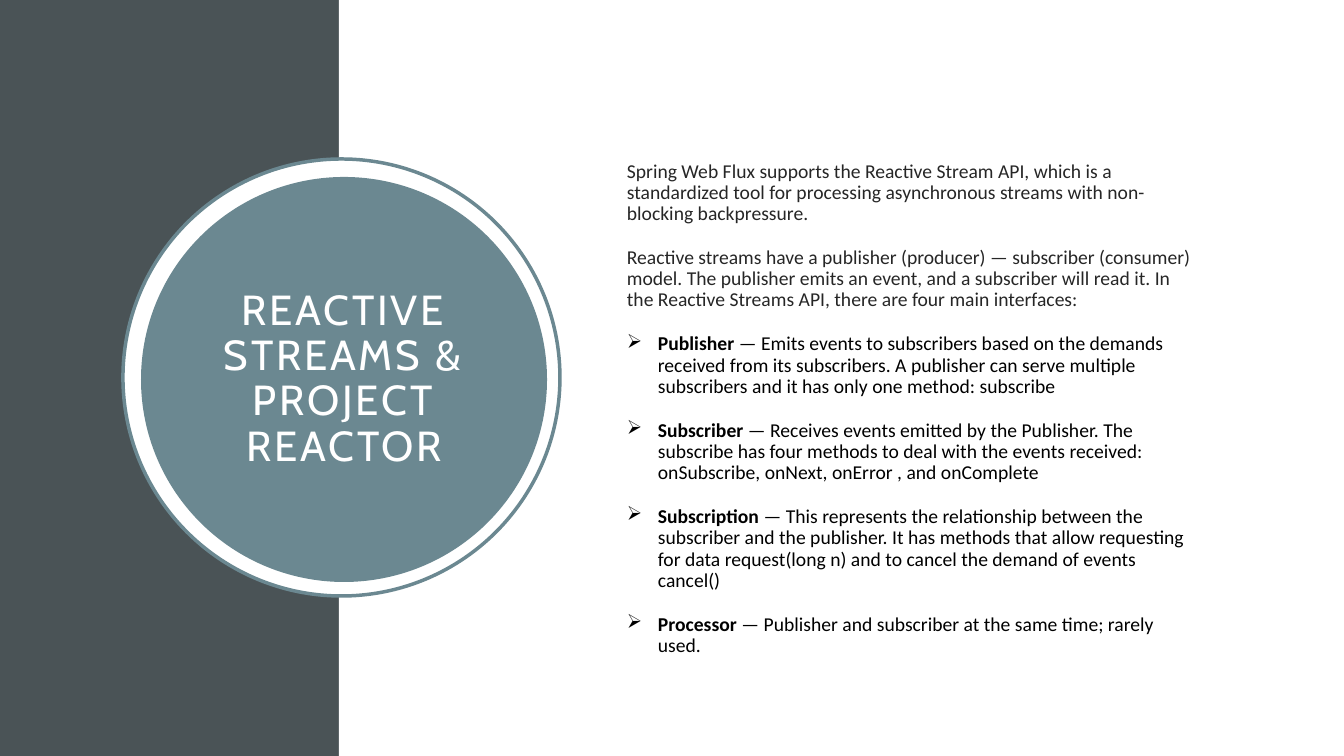
from lxml import etree
from pptx import Presentation, util as u
from pptx.dml.color import RGBColor
from pptx.enum import shapes, text
from pptx.oxml import ns

EMU_PER_PX = 12192000 / 1344
SLIDE_WIDTH, SLIDE_HEIGHT = 1344, 756
BAND_WIDTH = 339
BULLET_INDENT = 31

COLOURS = {
    "band": "4A5356",
    "paper": "FFFFFF",
    "accent": "6B8891",
    "intro": "262626",
    "term": "000000",
}

TITLE = "REACTIVE STREAMS & PROJECT REACTOR"
INTRO = [
    "Spring Web Flux supports the Reactive Stream API, which is a standardized tool for "
    "processing asynchronous streams with non-blocking backpressure.",
    "Reactive streams have a publisher (producer) — subscriber (consumer) model. The publisher "
    "emits an event, and a subscriber will read it. In the Reactive Streams API, there are four "
    "main interfaces:",
]
INTERFACES = [
    ("Publisher",
     " — Emits events to subscribers based on the demands received from its subscribers. "
     "A publisher can serve multiple subscribers and it has only one method: subscribe"),
    ("Subscriber",
     " — Receives events emitted by the Publisher. The subscribe has four methods to deal with "
     "the events received: onSubscribe, onNext, onError , and onComplete"),
    ("Subscription",
     " — This represents the relationship between the subscriber and the publisher. It has "
     "methods that allow requesting for data request(long n) and to cancel the demand of "
     "events cancel()"),
    ("Processor", " — Publisher and subscriber at the same time; rarely used."),
]


def px(length):
    return u.Emu(round(length * EMU_PER_PX))


def colour(name):
    return RGBColor.from_string(COLOURS[name])


def add_panel(slide, kind, left, top, width, height, fill, line=None):
    shape = slide.shapes.add_shape(kind, px(left), px(top), px(width), px(height))
    shape.shadow.inherit = False
    shape.fill.solid()
    shape.fill.fore_color.rgb = colour(fill)
    if line:
        shape.line.color.rgb = colour(line)
        shape.line.width = u.Pt(2.5)
    else:
        shape.line.fill.background()
    return shape


def write(paragraph, content, font="Calibri", size=14, ink="term", bold=False, tracking=0):
    """Append a run to the paragraph; tracking is in points."""
    run = paragraph.add_run()
    run.text = content
    run.font.name = font
    run.font.size = u.Pt(size)
    run.font.bold = bold
    run.font.color.rgb = colour(ink)
    if tracking:
        run.font._element.set("spc", str(tracking * 100))


def space(paragraph, before=10, align=text.PP_ALIGN.LEFT):
    paragraph.alignment = align
    paragraph.line_spacing = 0.9
    paragraph.space_before = u.Pt(before)
    paragraph.space_after = u.Pt(6.3)


def add_bullet(paragraph, symbol="➢"):
    properties = paragraph._p.get_or_add_pPr()
    properties.set("marL", str(px(BULLET_INDENT)))
    properties.set("indent", str(-px(BULLET_INDENT)))
    etree.SubElement(properties, ns.qn("a:buChar")).set("char", symbol)


def add_title_circle(slide):
    oval = shapes.MSO_SHAPE.OVAL
    add_panel(slide, oval, 123, 159, 437, 437, "paper", line="accent")
    circle = add_panel(slide, oval, 141, 177, 406, 405, "accent")
    frame = circle.text_frame
    frame.word_wrap = True
    frame.vertical_anchor = text.MSO_ANCHOR.MIDDLE
    frame.margin_left = frame.margin_right = px(20)
    frame.margin_top = frame.margin_bottom = px(20)
    paragraph = frame.paragraphs[0]
    space(paragraph, before=0, align=text.PP_ALIGN.CENTER)
    write(paragraph, TITLE, font="Cabin", size=30, ink="paper", tracking=2)


def add_body(slide):
    frame = slide.shapes.add_textbox(px(617), px(154), px(587), px(510)).text_frame
    frame.word_wrap = True
    frame.vertical_anchor = text.MSO_ANCHOR.MIDDLE
    entries = [(None, sentence) for sentence in INTRO] + INTERFACES
    for index, (term, description) in enumerate(entries):
        paragraph = frame.add_paragraph() if index else frame.paragraphs[0]
        space(paragraph)
        if term:
            add_bullet(paragraph)
            write(paragraph, term, bold=True)
        write(paragraph, description, ink="term" if term else "intro")


def main():
    presentation = Presentation()
    presentation.slide_width = px(SLIDE_WIDTH)
    presentation.slide_height = px(SLIDE_HEIGHT)
    slide = presentation.slides.add_slide(presentation.slide_layouts[6])
    rectangle = shapes.MSO_SHAPE.RECTANGLE
    add_panel(slide, rectangle, 0, 0, BAND_WIDTH, SLIDE_HEIGHT, "band")
    add_panel(slide, rectangle, BAND_WIDTH, 0, SLIDE_WIDTH - BAND_WIDTH, SLIDE_HEIGHT, "paper")
    add_title_circle(slide)
    add_body(slide)
    presentation.save("out.pptx")


if __name__ == "__main__":
    main()
